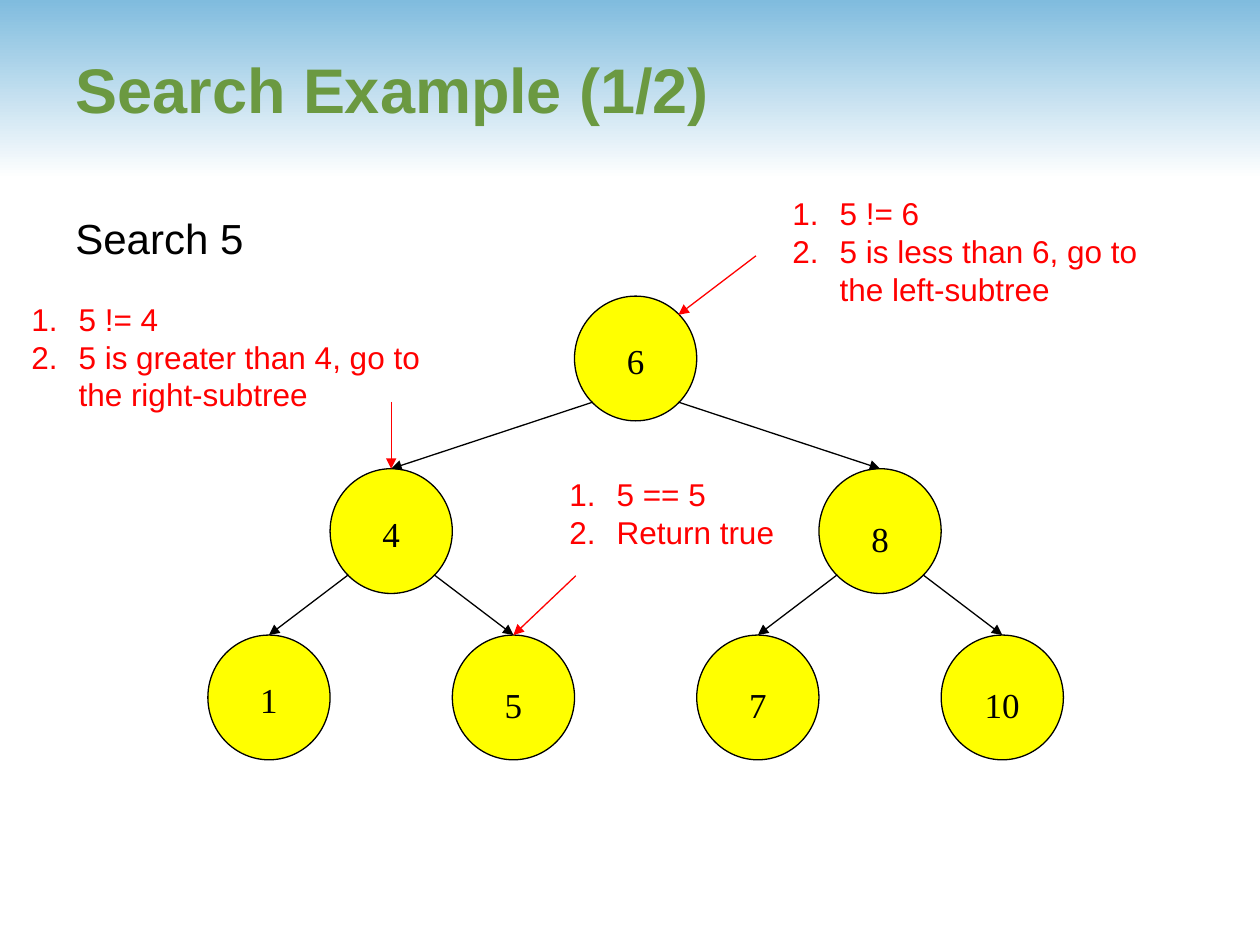
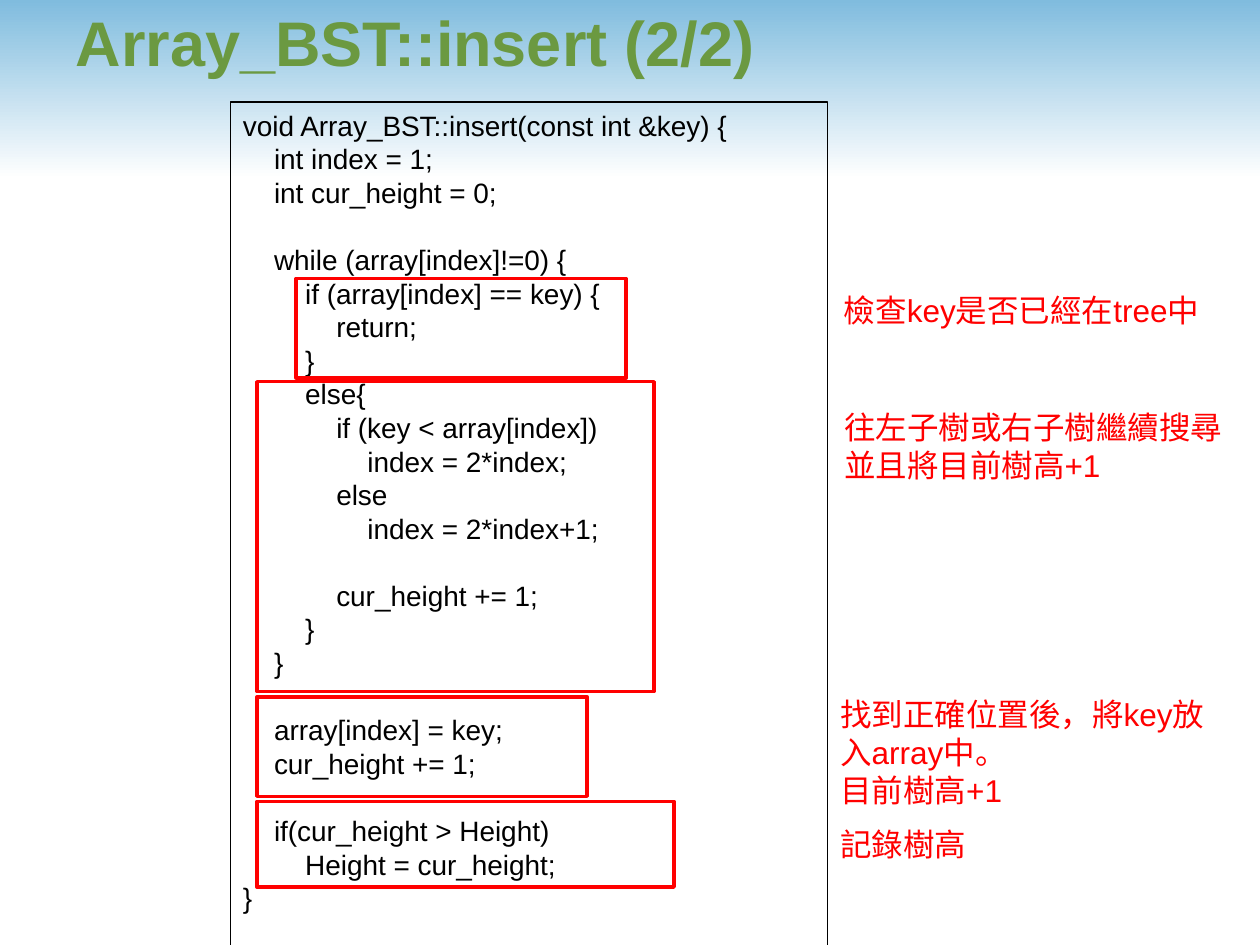
"""Build two slides on binary search trees: a search walk-through and an insert function."""
from dataclasses import dataclass
from typing import Any

from lxml import etree
from pptx import Presentation
from pptx.dml.color import RGBColor
from pptx.enum.shapes import MSO_CONNECTOR, MSO_SHAPE
from pptx.enum.text import MSO_ANCHOR, PP_ALIGN
from pptx.oxml.ns import qn
from pptx.util import Emu, Inches, Pt

STRAIGHT = MSO_CONNECTOR.STRAIGHT
PENTAGON, ELLIPSE, RECTANGLE = MSO_SHAPE.PENTAGON, MSO_SHAPE.OVAL, MSO_SHAPE.RECTANGLE
TOP, MIDDLE = MSO_ANCHOR.TOP, MSO_ANCHOR.MIDDLE
LEFT, CENTER = PP_ALIGN.LEFT, PP_ALIGN.CENTER

SLIDE_WIDTH, SLIDE_HEIGHT = Inches(10), Inches(7.5)
GRID_COLUMNS = 100
CELL = SLIDE_WIDTH / GRID_COLUMNS
TITLE_ONLY = 5


@dataclass(frozen=True)
class TextStyle:
    """Type settings of one kind of text."""

    size: float
    color: RGBColor
    font: str = "Arial"
    bold: bool = False
    align: Any = LEFT
    leading: float | None = None


@dataclass(frozen=True)
class Theme:
    """Colours, line widths and type styles of the deck."""

    sky: RGBColor = RGBColor(0x80, 0xBC, 0xDE)
    white: RGBColor = RGBColor(0xFF, 0xFF, 0xFF)
    black: RGBColor = RGBColor(0, 0, 0)
    red: RGBColor = RGBColor(0xFF, 0, 0)
    yellow: RGBColor = RGBColor(0xFF, 0xFF, 0)
    thin: float = 0.75
    thick: float = 2
    title: TextStyle = TextStyle(36, RGBColor(0x6B, 0x99, 0x41), bold=True)
    task: TextStyle = TextStyle(24, RGBColor(0, 0, 0))
    note: TextStyle = TextStyle(18, RGBColor(0xFF, 0, 0), leading=21.6)
    code: TextStyle = TextStyle(16, RGBColor(0, 0, 0), leading=19.2)
    node: TextStyle = TextStyle(20, RGBColor(0, 0, 0), "Times New Roman", align=CENTER)


THEME = Theme()


@dataclass(frozen=True)
class Box:
    """A rectangle in grid cells."""

    left: float
    top: float
    width: float
    height: float

    def lengths(self) -> tuple[Emu, ...]:
        """Return the four lengths for a shape call."""
        return tuple(map(cells, (self.left, self.top, self.width, self.height)))

    def point(self, site: tuple[float, float]) -> tuple[float, float]:
        """Return the point at a share of the width and height."""
        return self.left + site[0] * self.width, self.top + site[1] * self.height


@dataclass(frozen=True)
class Line:
    """One paragraph with its indent, gap above and numbering."""

    text: str
    indent: float = 0
    gap: float = 0
    numbered: bool = False


@dataclass(frozen=True)
class Node:
    """A tree node at a column and level, with its children."""

    column: int
    level: int
    inset: float
    children: tuple[str, ...] = ()

    def box(self) -> Box:
        """Return the circle's frame."""
        return Box(TREE_LEFT + self.column * NODE_WIDTH, LEVEL_TOPS[self.level],
                   NODE_WIDTH, NODE_HEIGHT)


@dataclass(frozen=True)
class Visit:
    """A search step: its note and the arrow to the visited node."""

    remarks: tuple[str, str]
    note: Box
    arrow_start: tuple[float, float]
    key: str
    site: tuple[float, float]


@dataclass(frozen=True)
class CodeStep:
    """A framed part of the code and its explanation."""

    frame: Box
    remarks: tuple[str, ...]
    note: Box


BAND = Box(0, 0, 100, 14.2)
TREE_LEFT, NODE_WIDTH, NODE_HEIGHT = 16.5, 9.7, 9.9
LEVEL_TOPS = (23.5, 37.2, 50.4)
NUMBER_INDENT, CODE_INDENT = 3.75, 2.47
TOP_SITE, UPPER_RIGHT = (0.5, 0), (0.85, 0.15)
CHILD_SITES = ((0.15, 0.85), (0.85, 0.85))

TREE = {
    "6": Node(3, 0, 2, ("4", "8")),
    "4": Node(1, 1, 2, ("1", "5")),
    "8": Node(5, 1, 2.4, ("7", "10")),
    "1": Node(0, 2, 2),
    "5": Node(2, 2, 2.4),
    "7": Node(4, 2, 2.4),
    "10": Node(6, 2, 2.4),
}

VISITS = (
    Visit(("5 != 6", "5 is less than 6, go to the left-subtree"),
          Box(61.9, 14.9, 33, 10.1), (60, 20.3), "6", UPPER_RIGHT),
    Visit(("5 != 4", "5 is greater than 4, go to the right-subtree"),
          Box(1.5, 23.3, 33, 10.1), (31.05, 31.9), "4", TOP_SITE),
    Visit(("5 == 5", "Return true"),
          Box(44.2, 37.2, 19.3, 7.1), (45.7, 45.7), "5", TOP_SITE),
)

CODE_BOX = Box(18.3, 8.1, 47.4, 67.7)
CODE = """\
void Array_BST::insert(const int &key) {
    int index = 1;
    int cur_height = 0;

    while (array[index]!=0) {
        if (array[index] == key) {
            return;
        }
        else{
            if (key < array[index])
                index = 2*index;
            else
                index = 2*index+1;

            cur_height += 1;
        }
    }

    array[index] = key;
    cur_height += 1;

    if(cur_height > Height)
        Height = cur_height;
}"""

CODE_STEPS = (
    CodeStep(Box(23.5, 22.1, 26.2, 7.9), ("檢查key是否已經在tree中",), Box(66, 22.6, 38.6, 4)),
    CodeStep(Box(20.4, 30.3, 31.5, 24.6), ("往左子樹或右子樹繼續搜尋", "並且將目前樹高+1"),
             Box(66, 31.9, 32.9, 7.1)),
    CodeStep(Box(20.4, 55.3, 26.2, 7.9), ("找到正確位置後，將key放入array中。", "目前樹高+1"),
             Box(65.7, 54.7, 32.9, 10.1)),
    CodeStep(Box(20.4, 63.6, 33.1, 6.8), ("記錄樹高",), Box(65.7, 65, 32.9, 4)),
)


def cells(count: float) -> Emu:
    """Convert grid cells to a length."""
    return Emu(round(count * CELL))


def assign(target: Any, values: dict[str, Any]) -> None:
    """Set each named attribute of the target."""
    for name, value in values.items():
        setattr(target, name, value)


def write(frame: Any, lines: list[Line], style: TextStyle, **layout: Any) -> None:
    """Fill a text frame with styled paragraphs."""
    assign(frame, {"word_wrap": True, "vertical_anchor": TOP} | layout)
    for index, line in enumerate(lines):
        paragraph = frame.add_paragraph() if index else frame.paragraphs[0]
        run = paragraph.add_run()
        run.text = line.text
        assign(run.font, {"size": Pt(style.size), "name": style.font, "bold": style.bold})
        run.font.color.rgb = style.color
        paragraph.alignment = style.align
        if style.leading:
            assign(paragraph, {"line_spacing": Pt(style.leading), "space_before": Pt(line.gap)})
        if line.indent:
            properties = paragraph._p.get_or_add_pPr()
            properties.set("marL", str(cells(line.indent)))
            if line.numbered:
                properties.set("indent", str(-cells(line.indent)))
                etree.SubElement(properties, qn("a:buAutoNum"), type="arabicPeriod")


def outline(item: Any, color: RGBColor, width: float) -> None:
    """Give a shape or connector a solid line."""
    item.line.color.rgb = color
    item.line.width = Pt(width)


def add_text(slide: Any, box: Box, lines: list[Line], style: TextStyle) -> Any:
    """Add a text box."""
    text = slide.shapes.add_textbox(*box.lengths())
    write(text.text_frame, lines, style)
    return text


def add_arrow(shapes: Any, start: tuple[float, float], end: tuple[float, float],
              color: RGBColor) -> None:
    """Add a thin straight arrow."""
    arrow = shapes.add_connector(STRAIGHT, *map(cells, start + end))
    outline(arrow, color, THEME.thin)
    etree.SubElement(arrow.line._get_or_add_ln(), qn("a:tailEnd"), type="triangle")
    etree.SubElement(arrow._element.spPr, qn("a:effectLst"))


def add_band(deck: Any, slide: Any) -> None:
    """Draw the sky band and move it to the shared layout."""
    band = slide.shapes.add_shape(PENTAGON, *BAND.lengths())
    band.adjustments[0] = 0
    band.shadow.inherit = False
    band.line.fill.background()
    band.fill.gradient()
    band.fill.gradient_angle = 270
    for stop, color in zip(band.fill.gradient_stops, (THEME.sky, THEME.white)):
        stop.color.rgb = color
    deck.slide_layouts[TITLE_ONLY].shapes._spTree.insert(2, band._element)


def add_slide(deck: Any, heading: str, title_top: float) -> Any:
    """Add a slide with its formatted title."""
    slide = deck.slides.add_slide(deck.slide_layouts[TITLE_ONLY])
    title = slide.shapes.title
    frame = Box(5, title_top, 90.8, 12.5).lengths()
    assign(title, dict(zip(("left", "top", "width", "height"), frame)))
    write(title.text_frame, [Line(heading)], THEME.title, vertical_anchor=MIDDLE)
    return slide


def draw_tree(slide: Any) -> None:
    """Draw the nodes and the edges to their children as one group."""
    shapes = slide.shapes.add_group_shape().shapes
    for key, node in TREE.items():
        circle = shapes.add_shape(ELLIPSE, *node.box().lengths())
        circle.shadow.inherit = False
        circle.fill.solid()
        circle.fill.fore_color.rgb = THEME.yellow
        outline(circle, THEME.black, THEME.thin)
        write(circle.text_frame, [Line(key)], THEME.node, margin_top=cells(node.inset))
    for node in TREE.values():
        for child, site in zip(node.children, CHILD_SITES):
            add_arrow(shapes, node.box().point(site), TREE[child].box().point(TOP_SITE),
                      THEME.black)


def draw_search(slide: Any) -> None:
    """Draw the tree with the notes of each visit."""
    draw_tree(slide)
    add_text(slide, Box(5, 16.4, 17.8, 5), [Line("Search 5")], THEME.task)
    for visit in VISITS:
        add_arrow(slide.shapes, visit.arrow_start, TREE[visit.key].box().point(visit.site),
                  THEME.red)
        remarks = [Line(text, NUMBER_INDENT, numbered=True) for text in visit.remarks]
        add_text(slide, visit.note, remarks, THEME.note)


def code_lines() -> list[Line]:
    """Turn source indents and empty lines into paragraph settings."""
    lines, gap = [], 0
    for source in CODE.splitlines():
        text = source.lstrip()
        if text:
            level = (len(source) - len(text)) // 4
            lines.append(Line(text, level * CODE_INDENT, gap))
        gap = 0 if text else THEME.code.leading
    return lines


def draw_insert(slide: Any) -> None:
    """Draw the code with its framed and explained steps."""
    outline(add_text(slide, CODE_BOX, code_lines(), THEME.code), THEME.black, THEME.thin)
    for step in CODE_STEPS:
        frame = slide.shapes.add_shape(RECTANGLE, *step.frame.lengths())
        frame.shadow.inherit = False
        frame.fill.background()
        outline(frame, THEME.red, THEME.thick)
        add_text(slide, step.note, [Line(text) for text in step.remarks], THEME.note)


def main() -> None:
    """Build and save the deck."""
    deck = Presentation()
    assign(deck, {"slide_width": SLIDE_WIDTH, "slide_height": SLIDE_HEIGHT})
    search = add_slide(deck, "Search Example (1/2)", 0.8)
    add_band(deck, search)
    draw_search(search)
    draw_insert(add_slide(deck, "Array_BST::insert (2/2)", -3))
    deck.save("out.pptx")


if __name__ == "__main__":
    main()
